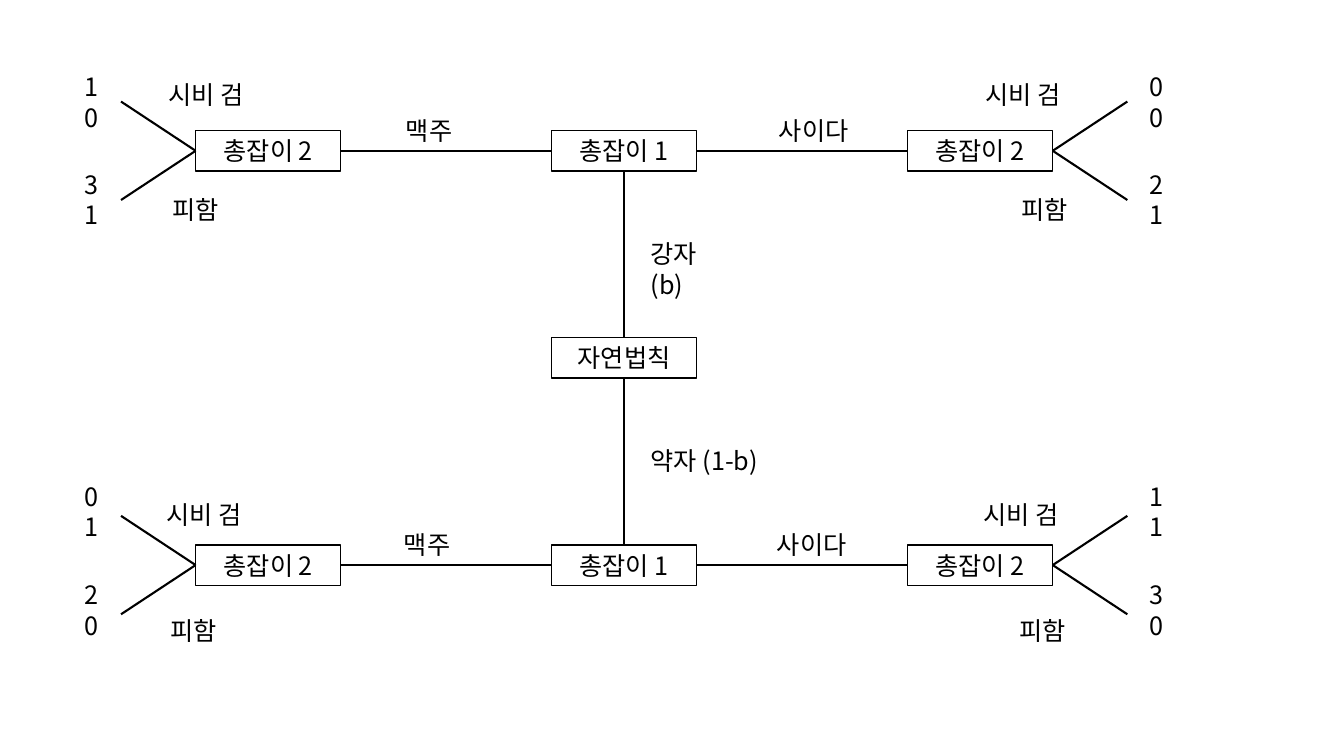
from lxml.etree import SubElement
from pptx import Presentation
from pptx.dml.color import RGBColor
from pptx.enum.shapes import MSO_CONNECTOR, MSO_SHAPE
from pptx.enum.text import MSO_ANCHOR, PP_ALIGN
from pptx.oxml.ns import qn
from pptx.util import Cm, Pt

FONT = "Noto Sans CJK KR"
BLACK = RGBColor.from_string("000000")

game = Presentation()
game.slide_width, game.slide_height = Cm(33.87), Cm(19.05)
slide = game.slides.add_slide(game.slide_layouts[6])


def add_label(text, left, top, width, height=1.02, boxed=False, centred=False):
    area = Cm(left), Cm(top), Cm(width), Cm(height)
    if boxed:
        label = slide.shapes.add_shape(MSO_SHAPE.RECTANGLE, *area)
        label.shadow.inherit = False
        label.fill.background()
        label.line.color.rgb = BLACK
        label.line.width = Pt(1)
    else:
        label = slide.shapes.add_textbox(*area)
    frame = label.text_frame
    frame.word_wrap = True
    frame.vertical_anchor = MSO_ANCHOR.MIDDLE if boxed else MSO_ANCHOR.TOP
    frame.text = text
    for paragraph in frame.paragraphs:
        paragraph.alignment = PP_ALIGN.CENTER if centred else PP_ALIGN.LEFT
        for run in paragraph.runs:
            run.font.size = Pt(18)
            run.font.name = FONT
            run.font.color.rgb = BLACK
            SubElement(run.font._element, qn("a:ea")).set("typeface", FONT)


def add_branch(x1, y1, x2, y2):
    branch = slide.shapes.add_connector(
        MSO_CONNECTOR.STRAIGHT, Cm(x1), Cm(y1), Cm(x2), Cm(y2))
    branch.line.color.rgb = BLACK
    branch.line.width = Pt(1.5)
    SubElement(branch._element.spPr, qn("a:effectLst"))


# Grid of node centres
NODE_W, NODE_H = 3.66, 1.02
LEFT_X, CENTRE_X, RIGHT_X = [6.76 + 8.97 * i for i in range(3)]
STRONG_Y, NATURE_Y, WEAK_Y = [3.8 + 5.22 * i for i in range(3)]

# Nodes
nodes = [("자연법칙", CENTRE_X, NATURE_Y)]
for y in (STRONG_Y, WEAK_Y):
    nodes += [("총잡이 2", LEFT_X, y), ("총잡이 1", CENTRE_X, y),
              ("총잡이 2", RIGHT_X, y)]
for text, x, y in nodes:
    add_label(text, x - NODE_W / 2, y - NODE_H / 2, NODE_W, NODE_H,
              boxed=True, centred=True)

# Nature's move
for y in (STRONG_Y, NATURE_Y):
    add_branch(CENTRE_X, y + NODE_H / 2, CENTRE_X, y + 5.22 - NODE_H / 2)
add_label("강자 (b)", 16.15, 5.89, 2.55, 1.8)
add_label("약자 (1-b)", 16.15, 11.1, 3.6)

# Each type: row, label shift, tops of choices, tops of payoffs,
# then payoffs (provoke, avoid) on the left and on the right
types = [
    (STRONG_Y, 0, (1.88, 4.78), (1.68, 4.14),
     ("1\n0", "3\n1"), ("0\n0", "2\n1")),
    (WEAK_Y, -0.05, (12.47, 15.39), (12.01, 14.48),
     ("0\n1", "2\n0"), ("1\n1", "3\n0")),
]
for y, shift, choice_tops, payoff_tops, left_payoffs, right_payoffs in types:
    # First player's drink
    for x in (LEFT_X, CENTRE_X):
        add_branch(x + NODE_W / 2, y, x + 8.97 - NODE_W / 2, y)
    add_label("맥주", 9.98 + shift, y - 1.03, 1.9)
    add_label("사이다", 19.38 + shift, y - 1.03, 2.6)

    # Second player's reply and the payoffs
    sides = [(LEFT_X, -1, (3.99, 4.09), 1.8, left_payoffs),
             (RIGHT_X, 1, (24.59, 25.5), 28.63, right_payoffs)]
    for x, way, choice_lefts, payoff_left, payoffs in sides:
        edge = x + way * NODE_W / 2
        for i, choice in enumerate(("시비 검", "피함")):
            add_branch(edge, y, edge + way * 1.88, y + (-1.24, 1.24)[i])
            add_label(choice, choice_lefts[i] + shift, choice_tops[i], 2.77)
            add_label(payoffs[i], payoff_left, payoff_tops[i], 1.02, 1.8,
                      centred=True)

game.save("out.pptx")
